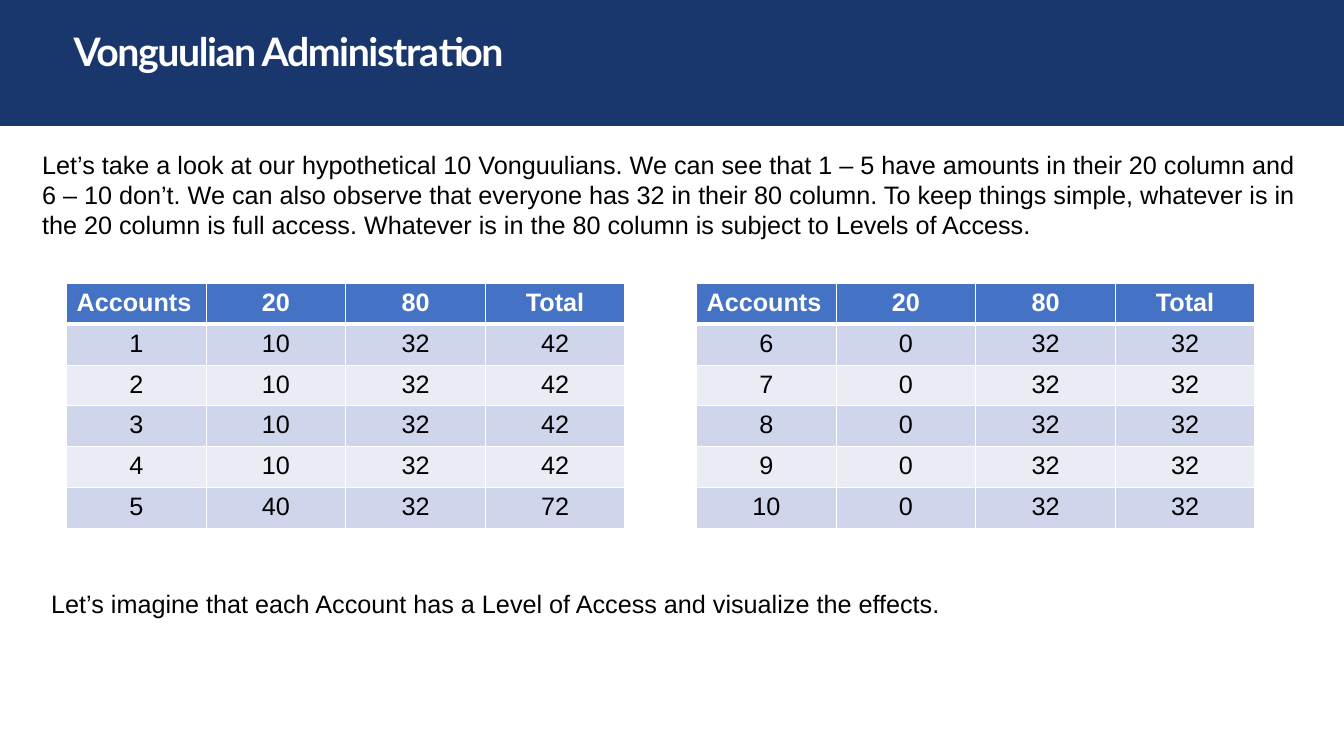
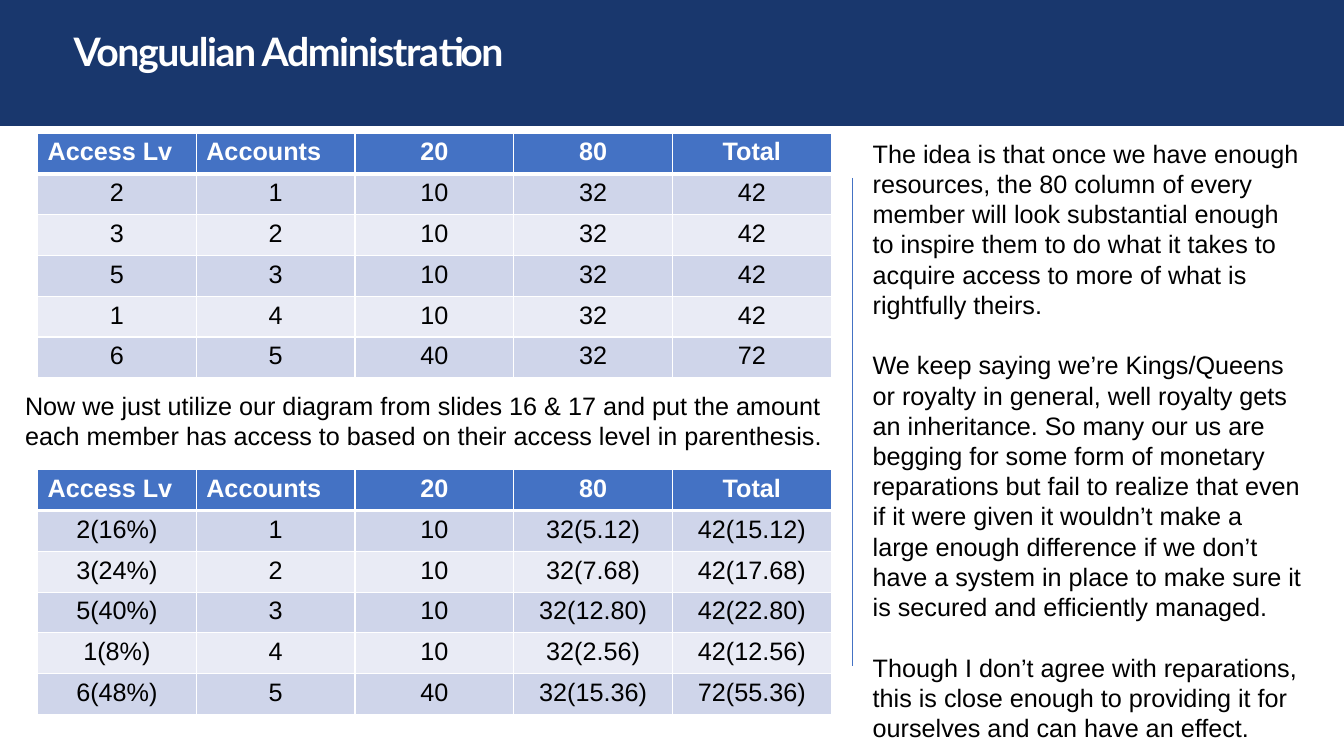
import pptx
import pptx.util
import pptx.dml.color
import pptx.enum.shapes
import pptx.enum.text
import pptx.oxml
import pptx.oxml.ns

Pt = pptx.util.Pt
ALIGN = pptx.enum.text.PP_ALIGN

HUES = {
    "band": "19376D", "head": "4472C4", "odd": "CFD5EA",
    "even": "E9EBF5", "text": "000000", "light": "FFFFFF",
}
WIDE, HIGH, BAND = 960, 540, 90
ROW = 29.16
LEFT = ("Access Lv", "Accounts")
TITLE = [("Vonguulian Administra", -100), ("tion", -110)]

HEAD = ["Accounts", "20", "80", "Total"]
FIRST = [
    ["1", "10", "32", "42"],
    ["2", "10", "32", "42"],
    ["3", "10", "32", "42"],
    ["4", "10", "32", "42"],
    ["5", "40", "32", "72"],
]
LAST = [[str(num), "0", "32", "32"] for num in range(6, 11)]
LEVELS = ["2", "3", "5", "1", "6"]
SHARES = [
    ["2(16%)", "1", "10", "32(5.12)", "42(15.12)"],
    ["3(24%)", "2", "10", "32(7.68)", "42(17.68)"],
    ["5(40%)", "3", "10", "32(12.80)", "42(22.80)"],
    ["1(8%)", "4", "10", "32(2.56)", "42(12.56)"],
    ["6(48%)", "5", "40", "32(15.36)", "72(55.36)"],
]
WITH_LV = ["Access Lv"] + HEAD
GRADED = [[lv] + row for lv, row in zip(LEVELS, FIRST)]

SLIDES = [
    {
        "tables": [
            (47.5, 202.5, 399, [HEAD] + FIRST),
            (497.5, 202.5, 399, [HEAD] + LAST),
        ],
        "texts": [
            (23, 103, 913, 72.7, [
                "Let’s take a look at our hypothetical 10 Vonguulians. We can see that 1 – 5 have amounts in their 20 column and 6 – 10 don’t. We can also observe that everyone has 32 in their 80 column. To keep things simple, whatever is in the 20 column is full access. Whatever is in the 80 column is subject to Levels of Access.",
            ]),
            (29.5, 417, 900.5, 29, [
                "Let’s imagine that each Account has a Level of Access and visualize the effects.",
            ]),
        ],
        "rules": [],
    },
    {
        "tables": [
            (26.8, 95, 567, [WITH_LV] + GRADED),
            (26.8, 335.5, 567, [WITH_LV] + SHARES),
        ],
        "texts": [
            (10.8, 275, 584, 51, [
                "Now we just utilize our diagram from slides 16 & 17 and put the amount each member has access to based on their access level in parenthesis.",
            ]),
            (616.3, 95, 321, 443.5, [
                "The idea is that once we have enough resources, the 80 column of every member will look substantial enough to inspire them to do what it takes to acquire access to more of what is rightfully theirs.",
                "We keep saying we’re Kings/Queens or royalty in general, well royalty gets an inheritance. So many our us are begging for some form of monetary reparations but fail to realize that even if it were given it wouldn’t make a large enough difference if we don’t have a system in place to make sure it is secured and efficiently managed.",
                "Though I don’t agree with reparations, this is close enough to providing it for ourselves and can have an effect.",
            ]),
        ],
        "rules": [(608.7, 127, 476)],
    },
]


def hue(name):
    return pptx.dml.color.RGBColor.from_string(HUES[name])


def style(run, color, size=18, face="Arial", bold=False):
    run.font.name = face
    run.font.size = Pt(size)
    run.font.bold = bold
    run.font.color.rgb = hue(color)


def add_band(slide):
    band = slide.shapes.add_shape(
        pptx.enum.shapes.MSO_SHAPE.RECTANGLE, 0, 0, Pt(WIDE), Pt(BAND))
    band.shadow.inherit = False
    band.fill.solid()
    band.fill.fore_color.rgb = hue("band")
    band.line.fill.background()
    frame = band.text_frame
    frame.vertical_anchor = pptx.enum.text.MSO_ANCHOR.TOP
    frame.margin_left, frame.margin_top = Pt(52.6), Pt(14)
    frame.margin_right = frame.margin_bottom = 0
    para = frame.paragraphs[0]
    para.alignment = ALIGN.LEFT
    para.line_spacing = Pt(38.8)
    for words, gap in TITLE:
        run = para.add_run()
        run.text = words
        style(run, "light", 28, "Lato", True)
        run.font._element.set("spc", str(gap))


def add_edges(cell, top, base):
    props = cell._tc.get_or_add_tcPr()
    sides = [("lnL", 1), ("lnR", 1), ("lnT", top), ("lnB", base)]
    for spot, (tag, width) in enumerate(sides):
        props.insert(spot, pptx.oxml.parse_xml(
            f'<a:{tag} {pptx.oxml.ns.nsdecls("a")} w="{Pt(width)}">'
            f'<a:solidFill><a:srgbClr val="{HUES["light"]}"/></a:solidFill>'
            f'</a:{tag}>'))


def add_grid(slide, left, top, width, rows):
    cols = len(rows[0])
    grid = slide.shapes.add_table(
        len(rows), cols, Pt(left), Pt(top), Pt(width),
        Pt(ROW * len(rows))).table
    for col in grid.columns:
        col.width = Pt(width / cols)
    for i, row in enumerate(rows):
        grid.rows[i].height = Pt(ROW)
        for j, words in enumerate(row):
            cell = grid.cell(i, j)
            cell.fill.solid()
            cell.fill.fore_color.rgb = hue(
                "head" if i == 0 else "odd" if i % 2 else "even")
            add_edges(cell, 3 if i == 1 else 1, 3 if i == 0 else 1)
            cell.text_frame.text = words
            para = cell.text_frame.paragraphs[0]
            para.alignment = ALIGN.LEFT if words in LEFT else ALIGN.CENTER
            style(para.runs[0], "text" if i else "light", bold=i == 0)


def add_text(slide, left, top, width, height, paras):
    box = slide.shapes.add_textbox(Pt(left), Pt(top), Pt(width), Pt(height))
    frame = box.text_frame
    frame.word_wrap = True
    frame.auto_size = pptx.enum.text.MSO_AUTO_SIZE.SHAPE_TO_FIT_TEXT
    frame.text = "\n".join(paras)
    for para in frame.paragraphs:
        style(para.runs[0], "text")
    for para in frame.paragraphs[:-1]:
        para.space_after = Pt(21.6)


def add_rule(slide, left, top, base):
    rule = slide.shapes.add_connector(
        pptx.enum.shapes.MSO_CONNECTOR.STRAIGHT,
        Pt(left), Pt(top), Pt(left), Pt(base))
    rule.line.color.rgb = hue("head")
    rule.line.width = Pt(0.5)
    rule._element.spPr.append(pptx.oxml.parse_xml(
        f'<a:effectLst {pptx.oxml.ns.nsdecls("a")}/>'))


def main():
    deck = pptx.Presentation()
    deck.slide_width, deck.slide_height = Pt(WIDE), Pt(HIGH)
    for page in SLIDES:
        slide = deck.slides.add_slide(deck.slide_layouts[6])
        add_band(slide)
        for item in page["tables"]:
            add_grid(slide, *item)
        for item in page["texts"]:
            add_text(slide, *item)
        for item in page["rules"]:
            add_rule(slide, *item)
    deck.save("out.pptx")


if __name__ == "__main__":
    main()
